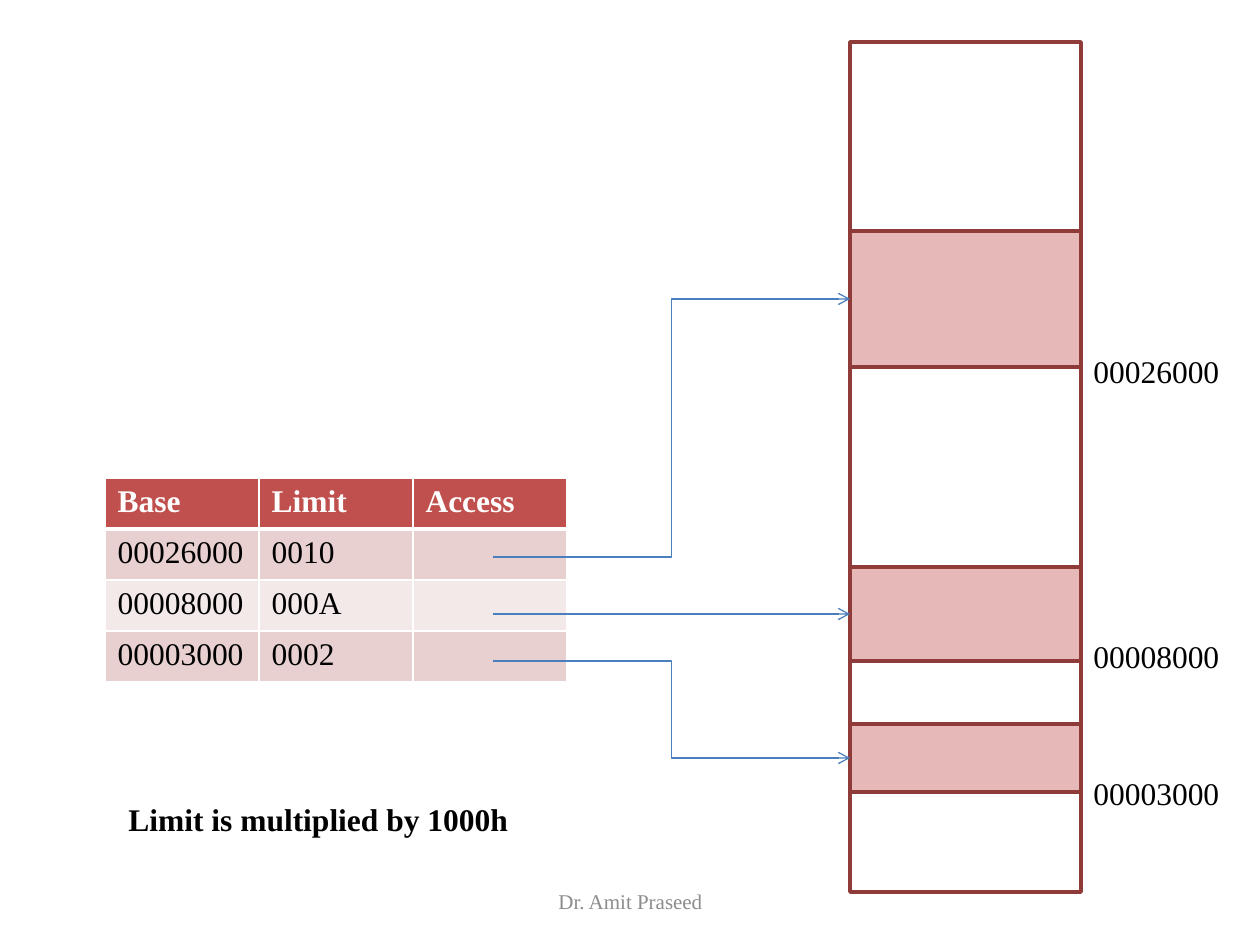
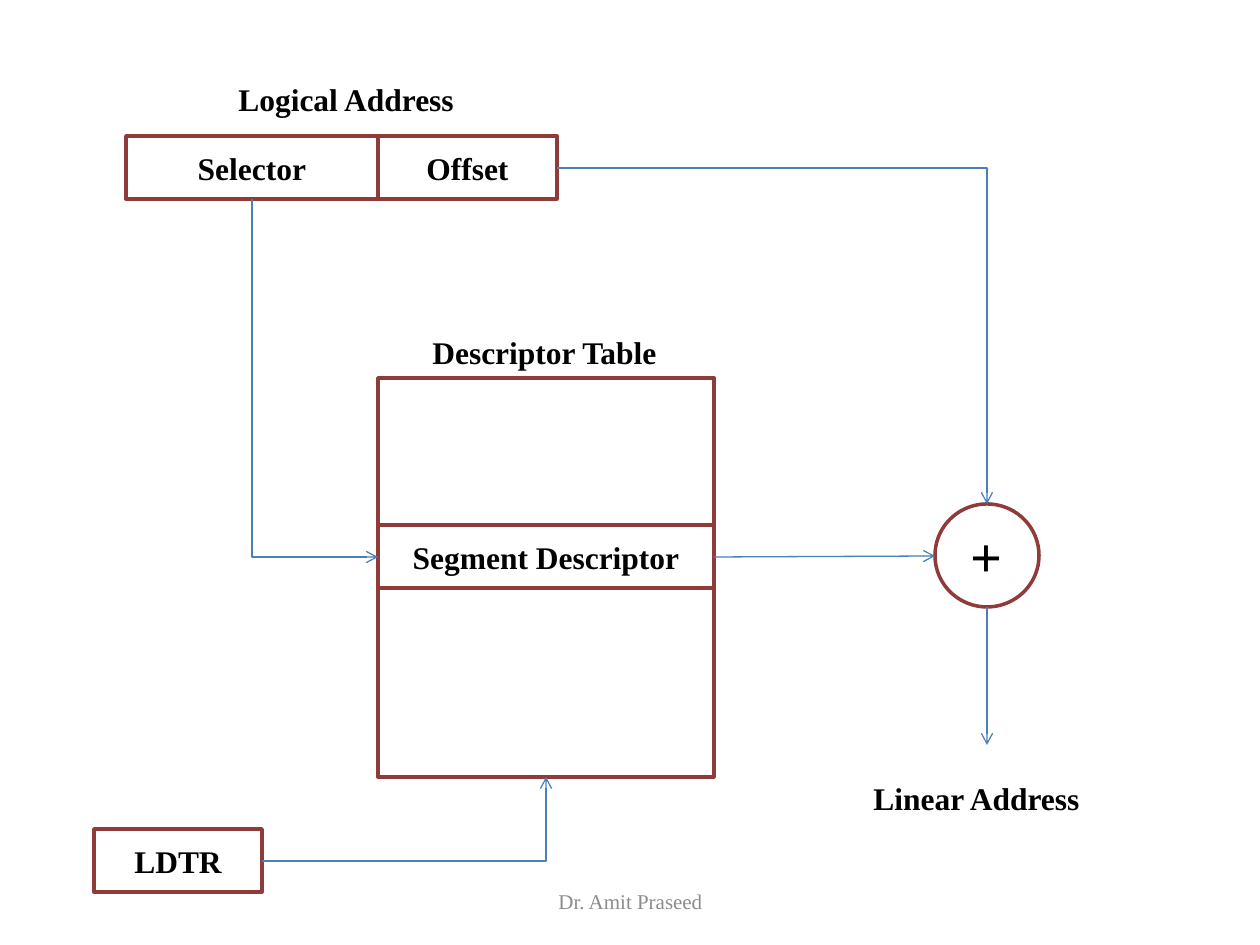
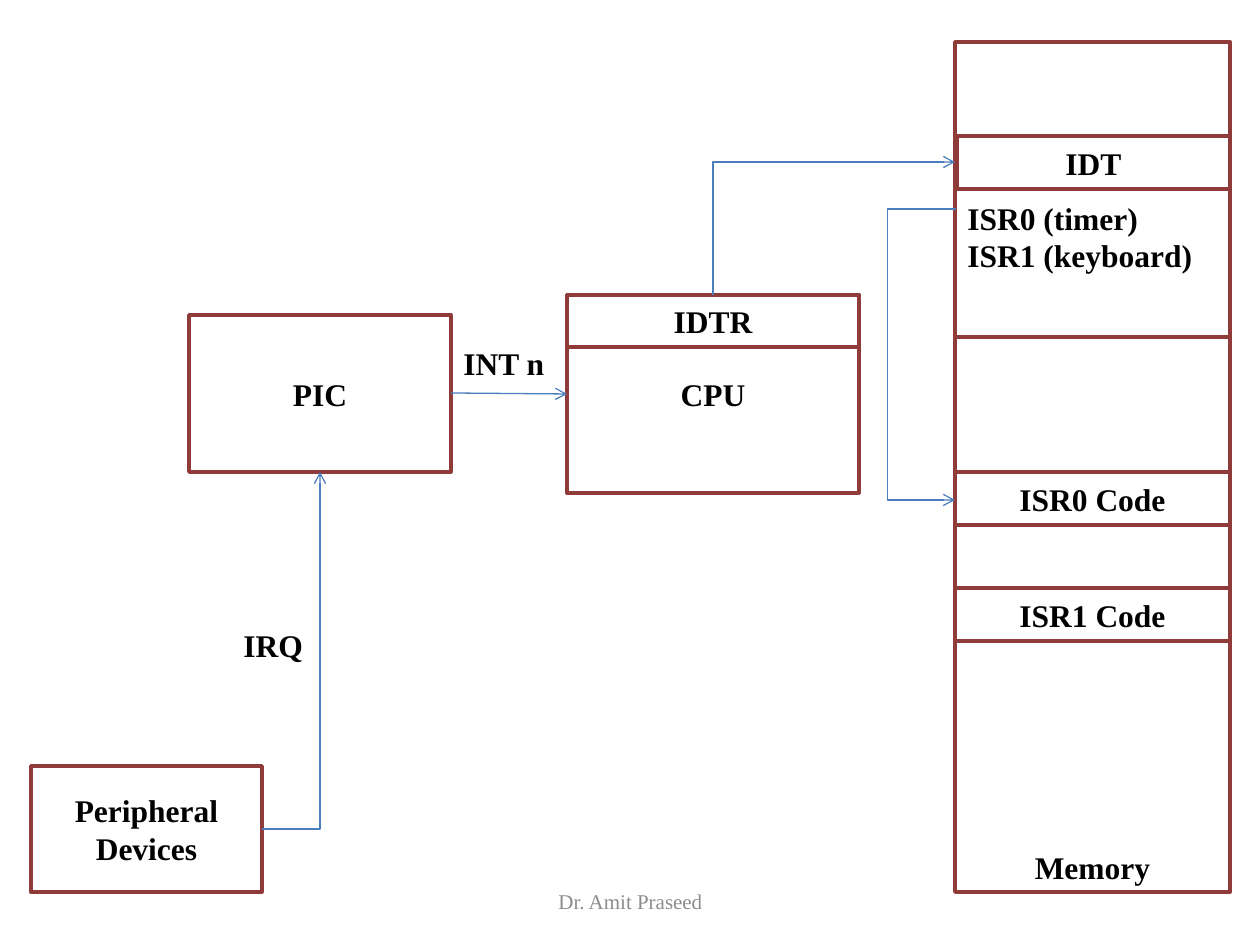
import pptx
import pptx.util
import pptx.dml.color
import pptx.enum.shapes
import pptx.enum.text
import pptx.oxml
import pptx.oxml.ns

SCALE = 914400 / 126
ALIGN = pptx.enum.text.PP_ALIGN
ANCHOR = pptx.enum.text.MSO_ANCHOR
SHAPE = pptx.enum.shapes.MSO_SHAPE
CONNECTOR = pptx.enum.shapes.MSO_CONNECTOR


def emu(pixels):
    return pptx.util.Emu(round(pixels * SCALE))


def color(value):
    return pptx.dml.color.RGBColor.from_string(value)


def element(xml):
    namespace = pptx.oxml.ns.nsdecls("a")
    return pptx.oxml.parse_xml(xml.replace("NS", namespace, 1))


class Deck:
    font = "Times New Roman"
    black, white, gray = "000000", "FFFFFF", "8C8C8C"
    outline, segment, arrow_color = "8E3B39", "E6B9B8", "4B7EBC"
    header, bands = "C0504D", ("E8D0D0", "F4E9E9")

    def __init__(self, width, height):
        self.presentation = pptx.Presentation()
        self.presentation.slide_width = emu(width)
        self.presentation.slide_height = emu(height)

    def new_slide(self):
        layout = self.presentation.slide_layouts[6]
        self.slide = self.presentation.slides.add_slide(layout)

    def set_text(self, frame, text, size=18, bold=True, ink=black,
                 align=ALIGN.LEFT, anchor=ANCHOR.TOP):
        frame.word_wrap = True
        frame.vertical_anchor = anchor
        frame.text = text
        for paragraph in frame.paragraphs:
            paragraph.alignment = align
            paragraph.font.name = self.font
            paragraph.font.size = pptx.util.Pt(size)
            paragraph.font.bold = bold
            paragraph.font.color.rgb = color(ink)

    def box(self, left, top, width, height, text="", fill=None,
            kind=SHAPE.RECTANGLE, size=18, align=ALIGN.CENTER,
            anchor=ANCHOR.MIDDLE):
        shape = self.slide.shapes.add_shape(
            kind, emu(left), emu(top), emu(width), emu(height))
        shape.shadow.inherit = False
        if fill:
            shape.fill.solid()
            shape.fill.fore_color.rgb = color(fill)
        else:
            shape.fill.background()
        shape.line.color.rgb = color(self.outline)
        shape.line.width = pptx.util.Pt(2)
        if text:
            self.set_text(shape.text_frame, text, size, align=align, anchor=anchor)

    def label(self, left, top, width, text, bold=True):
        shape = self.slide.shapes.add_textbox(
            emu(left), emu(top), emu(width), emu(50))
        self.set_text(shape.text_frame, text, bold=bold)
        shape.text_frame.auto_size = pptx.enum.text.MSO_AUTO_SIZE.SHAPE_TO_FIT_TEXT

    def footer(self, text):
        shape = self.slide.shapes.add_textbox(
            emu(431), emu(876), emu(399), emu(50))
        self.set_text(shape.text_frame, text, 12, False, self.gray,
                      ALIGN.CENTER, ANCHOR.MIDDLE)

    def connect(self, kind, start, end):
        connector = self.slide.shapes.add_connector(
            kind, *map(emu, (*start, *end)))
        connector.line.color.rgb = color(self.arrow_color)
        connector.line.width = pptx.util.Pt(0.75)
        properties = connector._element.spPr
        properties.find(pptx.oxml.ns.qn("a:ln")).append(
            element('<a:tailEnd NS type="arrow"/>'))
        properties.append(element("<a:effectLst NS/>"))
        return properties

    def arrow(self, start, end):
        self.connect(CONNECTOR.STRAIGHT, start, end)

    def step_arrow(self, start, end, middle=0.5):
        """Across, up or down, and across; middle is a share of the width."""
        properties = self.connect(CONNECTOR.ELBOW, start, end)
        guides = properties.find(".//" + pptx.oxml.ns.qn("a:avLst"))
        guides.append(element(
            f'<a:gd NS name="adj1" fmla="val {round(middle * 100000)}"/>'))

    def corner_arrow(self, start, end, vertical_first=False):
        if vertical_first:
            # The connector is turned about its centre, so its sides swap
            center_x, center_y = (start[0] + end[0]) / 2, (start[1] + end[1]) / 2
            half_x, half_y = (end[0] - start[0]) / 2, (end[1] - start[1]) / 2
            start = center_x + half_y, center_y - half_x
            end = center_x - half_y, center_y + half_x
        properties = self.connect(CONNECTOR.ELBOW, start, end)
        properties.find(pptx.oxml.ns.qn("a:prstGeom")).set("prst", "bentConnector2")
        if vertical_first:
            properties.find(pptx.oxml.ns.qn("a:xfrm")).set("rot", str(270 * 60000))

    def cell_borders(self, cell, **widths):
        properties = cell._tc.get_or_add_tcPr()
        for index, (side, points) in enumerate(widths.items()):
            properties.insert(index, element(
                f'<a:ln{side} NS w="{points * 12700}"><a:solidFill>'
                f'<a:srgbClr val="{self.white}"/></a:solidFill></a:ln{side}>'))

    def table(self, left, top, column_width, row_height, rows):
        columns = len(rows[0])
        table = self.slide.shapes.add_table(
            len(rows), columns, emu(left), emu(top),
            emu(column_width * columns), emu(row_height * len(rows))).table
        for row, texts in enumerate(rows):
            is_header = row == 0
            for column, text in enumerate(texts):
                cell = table.cell(row, column)
                self.cell_borders(cell, L=1, R=1, T=3 if row == 1 else 1,
                                  B=3 if is_header else 1)
                cell.fill.solid()
                cell.fill.fore_color.rgb = color(
                    self.header if is_header else self.bands[(row - 1) % 2])
                self.set_text(cell.text_frame, text, bold=is_header,
                              ink=self.white if is_header else self.black)


deck = Deck(1260, 945)
AUTHOR = "Dr. Amit Praseed"

# Slide 1: segments in memory
deck.new_slide()
memory_left, memory_width = 850, 231
deck.box(memory_left, 42, memory_width, 850)
segments = [(231, 136), (567, 94), (724, 68)]
for top, height in segments:
    deck.box(memory_left, top, memory_width, height, fill=deck.segment)
deck.table(105, 478, 154, 51, [
    ("Base", "Limit", "Access"),
    ("00026000", "0010", ""),
    ("00008000", "000A", ""),
    ("00003000", "0002", "")])
access_x = 493
middles = [top + height / 2 for top, height in segments]
deck.step_arrow((access_x, 557), (memory_left, middles[0]))
deck.arrow((access_x, middles[1]), (memory_left, middles[1]))
deck.step_arrow((access_x, 661), (memory_left, middles[2]))
for top, address in [(346, "00026000"), (631, "00008000"), (768, "00003000")]:
    deck.label(memory_left + memory_width, top, 179, address, bold=False)
deck.label(116, 794, 483, "Limit is multiplied by 1000h")
deck.footer(AUTHOR)

# Slide 2: from logical to linear address
deck.new_slide()
deck.box(126, 136, 252, 63, "Selector")
deck.box(378, 136, 179, 63, "Offset")
deck.box(378, 378, 336, 399)
deck.box(378, 525, 336, 63, "Segment Descriptor")
deck.box(935, 504, 104, 103, "+", kind=SHAPE.FLOWCHART_CONNECTOR, size=32)
deck.box(94, 829, 168, 63, "LDTR")
deck.label(420, 327, 262, "Descriptor Table")
deck.label(226, 74, 305, "Logical Address")
deck.label(861, 773, 305, "Linear Address")
deck.corner_arrow((252, 199), (378, 557), vertical_first=True)
deck.arrow((714, 557), (935, 556))
deck.corner_arrow((557, 168), (987, 504))
deck.arrow((987, 607), (987, 745))
deck.corner_arrow((262, 861), (546, 777))
deck.footer(AUTHOR)

# Slide 3: interrupt handling
deck.new_slide()
deck.box(189, 315, 262, 157, "PIC")
deck.box(31, 766, 231, 126, "Peripheral Devices")
deck.box(567, 295, 292, 198, "CPU")
deck.box(567, 295, 292, 52, "IDTR")
memory_left, memory_width = 955, 275
deck.box(memory_left, 42, memory_width, 850, "Memory", anchor=ANCHOR.BOTTOM)
deck.box(memory_left, 136, memory_width, 201, "ISR0 (timer)\nISR1 (keyboard)",
         align=ALIGN.LEFT)
deck.box(memory_left + 2, 136, memory_width - 2, 53, "IDT")
for top, text in [(472, "ISR0 Code"), (588, "ISR1 Code")]:
    deck.box(memory_left, top, memory_width, 53, text)
deck.label(231, 620, 136, "IRQ")
deck.label(451, 338, 136, "INT n")
deck.corner_arrow((262, 829), (320, 472))
deck.arrow((451, 393), (567, 394))
deck.corner_arrow((713, 295), (memory_left, 162), vertical_first=True)
deck.step_arrow((memory_left + 1, 209), (memory_left, 500), middle=69)
deck.footer(AUTHOR)

deck.presentation.save("out.pptx")
